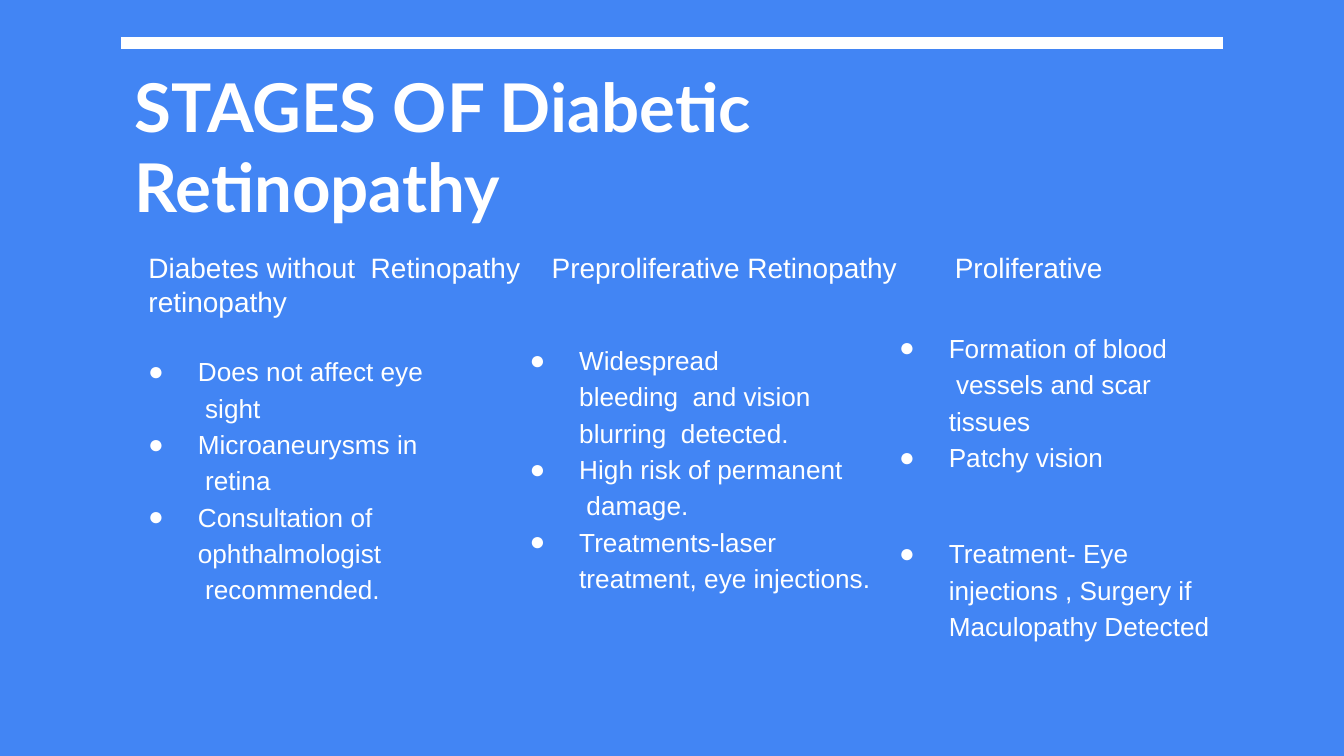
from dataclasses import dataclass

from lxml.etree import SubElement
from pptx import Presentation
from pptx.dml.color import RGBColor as RGB
from pptx.enum.shapes import MSO_CONNECTOR as CONN
from pptx.enum.text import MSO_ANCHOR as ANCHOR
from pptx.oxml.ns import qn
from pptx.util import Inches, Pt

CELL = Inches(0.1)  # one square of the slide grid
COLS = 100
ROWS = COLS * 9 / 16
NBSP = chr(160)  # written as ~ in the texts below


@dataclass(frozen=True)
class Theme:
    back: str = "4285F4"
    ink: str = "FFFFFF"
    title_font: str = "Lato"
    body_font: str = "Arial"
    title: int = 36
    head: int = 15
    body: int = 14
    rule: int = 6
    spacing: float = 1.16


@dataclass(frozen=True)
class Box:
    x: float
    y: float
    w: float
    h: float

    def emu(self):
        return [round(v * CELL) for v in (self.x, self.y, self.w, self.h)]


T = Theme()
HEADS = ["Diabetes without  Retinopathy", "Preproliferative Retinopathy",
         "Proliferative retinopathy"]
STAGES = [
    (Box(10.93, 26, 20.6, 19.2), [
        "Does not affect eye ~sight",
        "Microaneurysms in ~retina",
        "Consultation of  ophthalmologist ~recommended."]),
    (Box(39.3, 25.15, 25.5, 19.2), [
        "Widespread bleeding~~and vision blurring  detected.",
        "High risk of permanent ~damage.",
        "Treatments-laser  treatment, eye injections."]),
    (Box(66.8, 24.25, 20.4, 11.1), [
        "Formation of blood ~vessels and scar  tissues",
        "Patchy vision"]),
    (Box(66.8, 39.53, 23.4, 8.4), [
        "Treatment- Eye  injections , Surgery if  Maculopathy Detected"]),
]


def text_frame(s, box):
    tf = s.shapes.add_textbox(*box.emu()).text_frame
    tf.word_wrap = True
    tf.vertical_anchor = ANCHOR.TOP
    tf.margin_left = tf.margin_right = tf.margin_bottom = 0
    tf.margin_top = Inches(0.01)
    return tf


def add_run(p, text, size, font=T.body_font, bold=False):
    r = p.add_run()
    r.text = text.replace("~", NBSP)
    r.font.size, r.font.name, r.font.bold = Pt(size), font, bold
    r.font.color.rgb = RGB.from_string(T.ink)


def indent(p, left, first=0):
    pPr = p._p.get_or_add_pPr()
    pPr.set("marL", str(Inches(left)))
    pPr.set("indent", str(Inches(first)))
    return pPr


def add_bullet(p):
    pPr = indent(p, 0.38, -0.37)
    SubElement(SubElement(pPr, qn("a:buClr")), qn("a:srgbClr")).set("val", T.ink)
    SubElement(pPr, qn("a:buFont")).set("typeface", T.body_font)
    SubElement(pPr, qn("a:buChar")).set("char", "●")


def backdrop(s, box):
    x, y, w, h = box.emu()
    fb = s.shapes.build_freeform(x, y)
    fb.add_line_segments([(x + w, y), (x + w, y + h), (x, y + h)], close=True)
    sp = fb.convert_to_shape()
    sp.shadow.inherit = False
    sp.fill.solid()
    sp.fill.fore_color.rgb = RGB.from_string(T.back)
    sp.line.fill.background()


def top_rule(s, box):
    x, y, w, h = box.emu()
    line = s.shapes.add_connector(CONN.STRAIGHT, x, y, x + w, y + h)
    line.line.color.rgb = RGB.from_string(T.ink)
    line.line.width = Pt(T.rule)
    SubElement(line._element.spPr, qn("a:effectLst"))


def single_line(s, box, text, size, **style):
    p = text_frame(s, box).paragraphs[0]
    indent(p, 0.01)
    add_run(p, text, size, **style)


def bullet_list(s, box, items):
    tf = text_frame(s, box)
    for i, item in enumerate(items):
        p = tf.paragraphs[0] if i == 0 else tf.add_paragraph()
        # A one-line closing item takes space before it instead of line spacing
        if item == "Patchy vision":
            p.space_before = Pt(2.7)
        else:
            p.line_spacing = T.spacing
        add_bullet(p)
        add_run(p, item, T.body)


def main():
    prs = Presentation()
    prs.slide_width, prs.slide_height = round(COLS * CELL), round(ROWS * CELL)
    s = prs.slides.add_slide(prs.slide_layouts[6])

    # Background and rule
    backdrop(s, Box(0, 0, COLS, ROWS))
    top_rule(s, Box(9, 3.2, COLS - 2 * 9, 0))

    # Title and column headings
    single_line(s, Box(9.93, 4.75, 74, 6.3), "STAGES OF Diabetic Retinopathy",
                T.title, font=T.title_font, bold=True)
    single_line(s, Box(10.95, 18.55, 77.9, 2.8), "\t".join(HEADS), T.head)

    # Stage descriptions
    for box, items in STAGES:
        bullet_list(s, box, items)

    prs.save("out.pptx")


if __name__ == "__main__":
    main()
